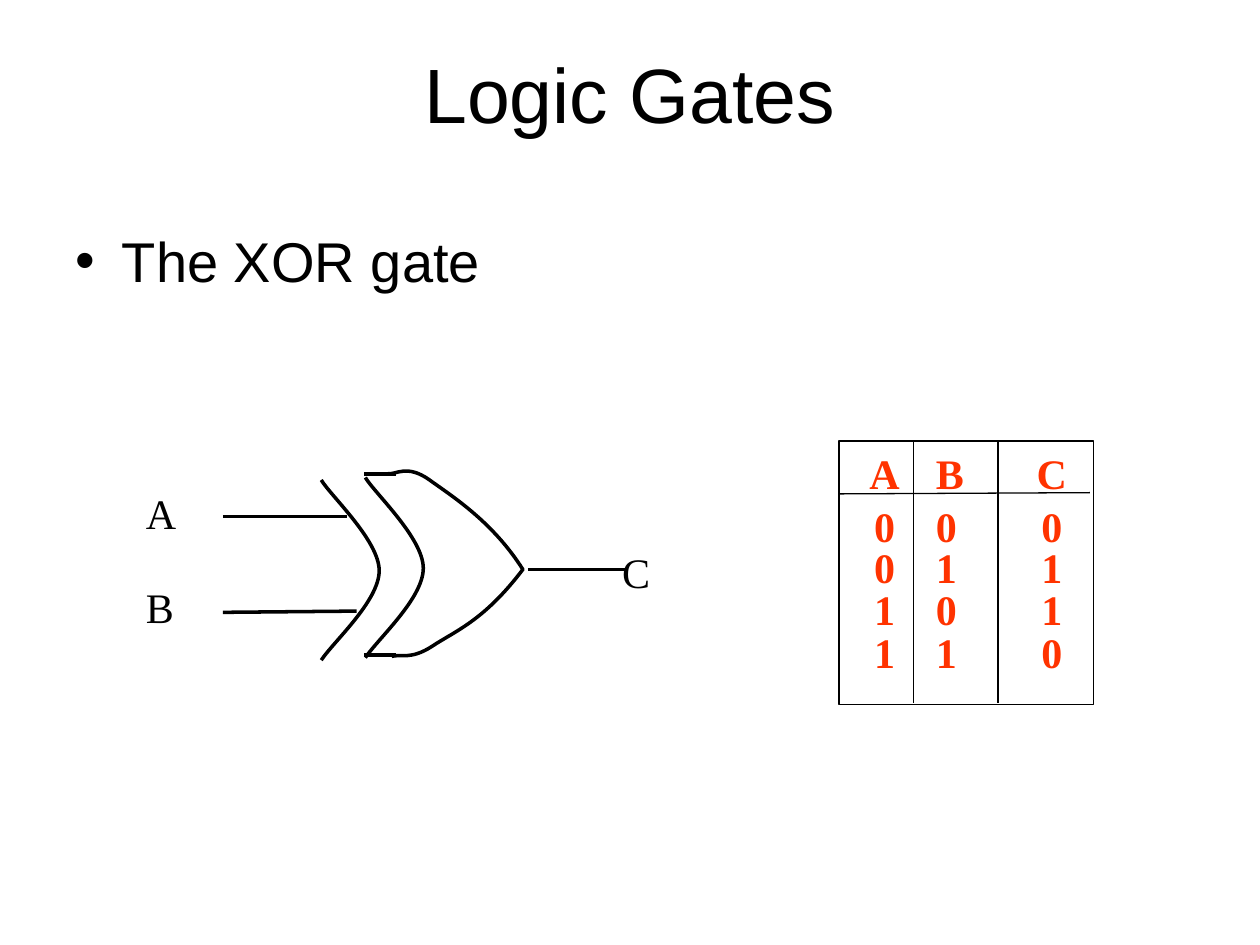
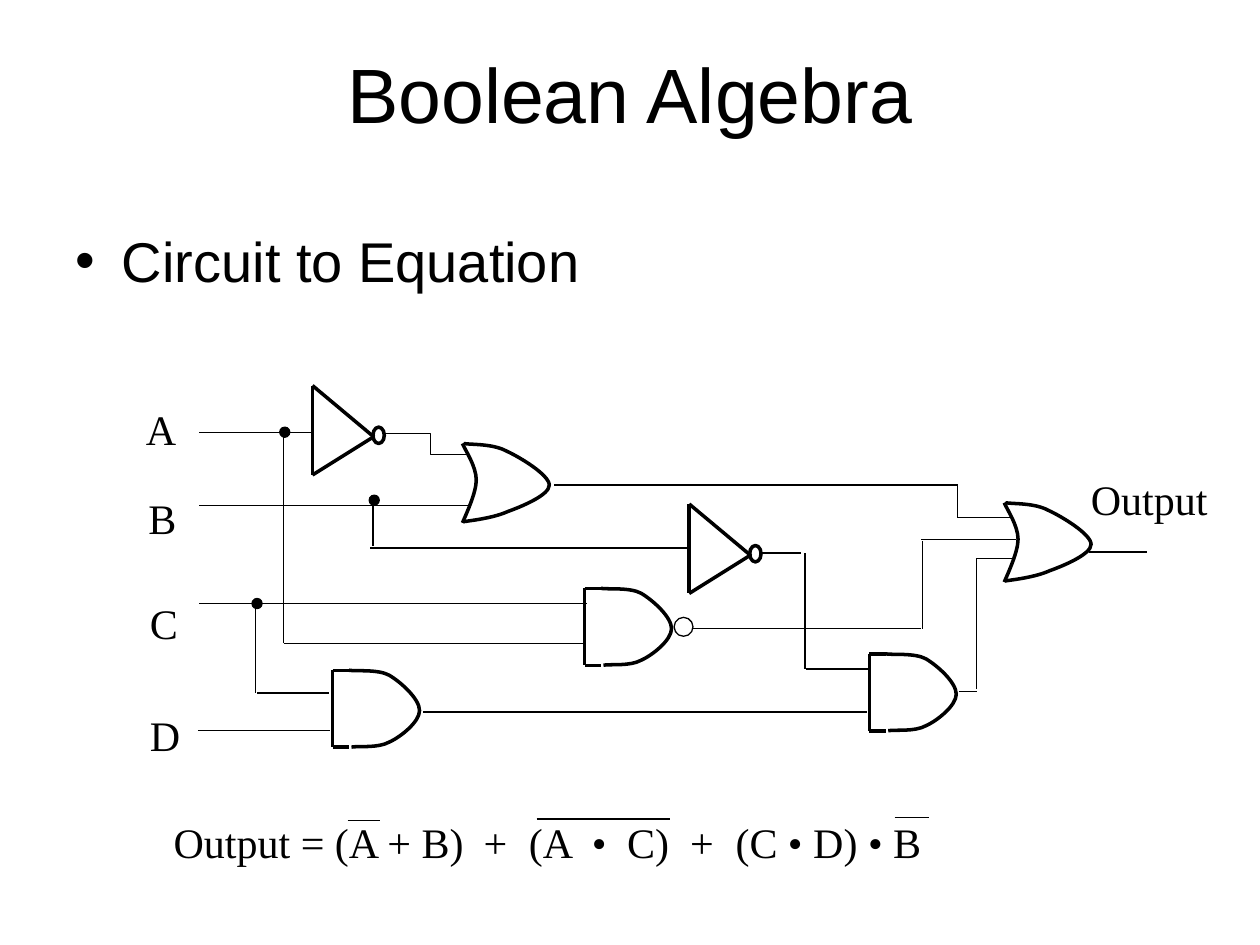
from typing import Any, NamedTuple

from pptx import Presentation
from pptx.dml.color import RGBColor
from pptx.enum.shapes import MSO_CONNECTOR, MSO_SHAPE
from pptx.enum.text import PP_ALIGN
from pptx.oxml.ns import qn
from pptx.util import Inches, Pt
from lxml.etree import SubElement

COLORS = {"ink": "000000", "truth": "FF3300"}
SANS, SERIF = "Arial", "Times New Roman"
THIN, THICK = 0.75, 2.0

Point = tuple[float, float]


class Wire(NamedTuple):
    x1: float
    y1: float
    x2: float
    y2: float


class Label(NamedTuple):
    text: str
    x: float
    y: float
    w: float


class Tab(NamedTuple):
    x: float
    align: str = "l"


class Oval(NamedTuple):
    x: float
    y: float
    w: float
    h: float


XOR_BACK = [(0, 0), (0.07, 0.12), (0.46, 0.48), (0.46, 0.72),
            (0.46, 0.96), (0.1, 1.28), (0, 1.43)]
XOR_BODY = [(3.08, 3.76), (3.14, 3.77), (3.23, 3.68), (3.41, 3.81),
            (3.59, 3.94), (3.91, 4.14), (4.15, 4.52),
            (3.84, 4.93), (3.61, 5.01), (3.43, 5.13),
            (3.26, 5.24), (3.18, 5.19), (3.11, 5.21)]
OR_BACK = [(0, 0), (0.02, 0.05), (0.11, 0.18), (0.11, 0.29),
           (0.11, 0.39), (0.03, 0.56), (0, 0.63)]
OR_BODY = [(0.01, 0), (0.07, 0.01), (0.24, 0), (0.35, 0.06),
           (0.46, 0.11), (0.69, 0.25), (0.69, 0.33),
           (0.69, 0.41), (0.47, 0.5), (0.36, 0.54),
           (0.25, 0.59), (0.08, 0.61), (0.01, 0.62)]
AND_BODY = [(0.13, 0), (0.18, 0.01), (0.36, -0.01), (0.45, 0.04),
            (0.55, 0.1), (0.69, 0.23), (0.69, 0.32),
            (0.69, 0.41), (0.54, 0.53), (0.45, 0.57),
            (0.36, 0.62), (0.21, 0.6), (0.15, 0.61)]
AND_SIDES = [Wire(0, 0, 0, 0.61), Wire(0, 0, 0.13, 0), Wire(0, 0.61, 0.13, 0.61)]
NOT_SIDES = [Wire(0, 0.71, 0.48, 0.41), Wire(0, 0, 0, 0.71), Wire(0, 0, 0.49, 0.41)]
NOT_BUBBLE = Oval(0.48, 0.33, 0.09, 0.13)

XOR_LABELS = [Label("A", 1.06, 3.82, 1.42), Label("B", 1.06, 4.57, 1.42),
              Label("C", 4.84, 4.29, 1)]
XOR_WIRES = [Wire(2.89, 3.76, 3.14, 3.76), Wire(1.77, 4.1, 2.75, 4.1),
             Wire(4.19, 4.52, 4.97, 4.52), Wire(2.89, 5.2, 3.14, 5.2),
             Wire(1.77, 4.86, 2.83, 4.85)]
TRUTH_ROWS = {3.5: "ABC", 3.92: "000", 4.25: "011", 4.58: "101", 4.92: "110"}
TRUTH_RULES = [Wire(7.25, 3.5, 7.25, 5.58), Wire(7.92, 3.5, 7.92, 5.58),
               Wire(6.66, 3.92, 8.65, 3.91)]

CIRCUIT_LABELS = [Label("A", 1.06, 3.15, 0.62), Label("B", 1.08, 3.86, 0.62),
                  Label("C", 1.09, 4.69, 0.62), Label("D", 1.09, 5.58, 0.62),
                  Label("Output", 8.56, 3.71, 1.44)]
CIRCUIT_WIRES = [
    Wire(1.58, 3.43, 2.48, 3.43), Wire(1.58, 4.01, 3.72, 4.01),
    Wire(1.58, 4.79, 4.66, 4.79), Wire(1.57, 5.8, 2.62, 5.8),
    Wire(2.25, 3.43, 2.25, 5.1), Wire(2.25, 5.11, 4.64, 5.11),
    Wire(2.03, 4.79, 2.03, 5.5), Wire(2.04, 5.5, 2.61, 5.5),
    Wire(2.96, 4.01, 2.96, 4.33), Wire(2.94, 4.35, 5.48, 4.35),
    Wire(3.36, 5.65, 6.88, 5.65), Wire(6.04, 4.39, 6.36, 4.39),
    Wire(6.39, 4.39, 6.39, 5.31), Wire(6.4, 5.31, 6.89, 5.31),
    Wire(5.49, 4.99, 7.31, 4.99), Wire(7.32, 4.99, 7.32, 4.29),
    Wire(7.31, 4.28, 8.06, 4.28), Wire(4.4, 3.85, 7.6, 3.85),
    Wire(7.6, 3.85, 7.6, 4.11), Wire(7.6, 4.11, 8.03, 4.11),
    Wire(7.61, 5.49, 7.75, 5.49), Wire(7.75, 5.47, 7.75, 4.43),
    Wire(7.75, 4.43, 8.04, 4.43), Wire(8.64, 4.38, 9.1, 4.38),
]
INVERTER_STEP = [(3.06, 3.44), (3.42, 3.44), (3.42, 3.61), (3.7, 3.61)]
JUNCTIONS = [(2.93, 3.93), (2, 4.75), (2.22, 3.39)]
EQUATION = Label("Output = (A + B)\t+\t(A\t•\tC)\t+\t(C • D) • B", 1.28, 6.43, 8.06)
EQUATION_TABS = [Tab(2.46), Tab(2.82), Tab(3.32), Tab(3.6), Tab(4.1), Tab(4.46)]
NEGATIONS = [Wire(2.76, 6.51, 3.02, 6.51), Wire(4.26, 6.5, 5.32, 6.5),
             Wire(7.1, 6.49, 7.37, 6.49)]


def rgb(name: str) -> RGBColor:
    return RGBColor.from_string(COLORS[name])


def add_run(p: Any, text: str, size: float, font: str,
            color: str = "ink", bold: bool = False) -> None:
    r = p.add_run()
    r.text = text
    r.font.size = Pt(size)
    r.font.name = font
    r.font.bold = bold
    r.font.color.rgb = rgb(color)


def add_box(shapes: Any, x: float, y: float, w: float, h: float) -> Any:
    tf = shapes.add_textbox(Inches(x), Inches(y), Inches(w), Inches(h)).text_frame
    tf.word_wrap = True
    return tf


def add_label(shapes: Any, label: Label, tabs: list[Tab] | None = None,
              color: str = "ink", bold: bool = False,
              align: PP_ALIGN = PP_ALIGN.LEFT) -> None:
    p = add_box(shapes, label.x, label.y, label.w, 0.5).paragraphs[0]
    p.alignment = align
    if tabs:
        stops = SubElement(p._p.get_or_add_pPr(), qn("a:tabLst"))
        for tab in tabs:
            SubElement(stops, qn("a:tab"), pos=str(Inches(tab.x)), algn=tab.align)
    add_run(p, label.text, 24, SERIF, color, bold)


def style_line(sp: Any, width: float) -> None:
    sp.line.color.rgb = rgb("ink")
    sp.line.width = Pt(width)


def add_wires(shapes: Any, wires: list[Wire], width: float,
              x: float = 0, y: float = 0) -> None:
    for wire in wires:
        sp = shapes.add_connector(
            MSO_CONNECTOR.STRAIGHT, Inches(x + wire.x1), Inches(y + wire.y1),
            Inches(x + wire.x2), Inches(y + wire.y2))
        style_line(sp, width)
        SubElement(sp._element.spPr, qn("a:effectLst"))


def add_path(shapes: Any, points: list[Point], width: float,
             x: float = 0, y: float = 0) -> Any:
    start, *rest = [(Inches(x + px), Inches(y + py)) for px, py in points]
    builder = shapes.build_freeform(*start)
    builder.add_line_segments(rest, close=False)
    sp = builder.convert_to_shape()
    sp.shadow.inherit = False
    sp.fill.background()
    style_line(sp, width)
    return sp


def add_curve(shapes: Any, points: list[Point], x: float = 0, y: float = 0) -> None:
    sp = add_path(shapes, points, THICK, x, y)
    outline = next(sp._element.iter(qn("a:path")))
    segments = outline.findall(qn("a:lnTo"))
    for i in range(0, len(segments), 3):
        curve = SubElement(outline, qn("a:cubicBezTo"))
        for segment in segments[i:i + 3]:
            curve.append(segment[0])
            outline.remove(segment)


def add_preset(shapes: Any, kind: MSO_SHAPE, area: Oval, width: float,
               filled: bool = False) -> None:
    sp = shapes.add_shape(kind, Inches(area.x), Inches(area.y),
                          Inches(area.w), Inches(area.h))
    sp.shadow.inherit = False
    if filled:
        sp.fill.solid()
        sp.fill.fore_color.rgb = rgb("ink")
    else:
        sp.fill.background()
    style_line(sp, width)


def add_not_gate(s: Any, x: float, y: float) -> None:
    shapes = s.shapes.add_group_shape().shapes
    add_wires(shapes, NOT_SIDES, THICK, x, y)
    bubble = NOT_BUBBLE._replace(x=x + NOT_BUBBLE.x, y=y + NOT_BUBBLE.y)
    add_preset(shapes, MSO_SHAPE.OVAL, bubble, THICK)


def add_and_gate(s: Any, x: float, y: float) -> None:
    shapes = s.shapes.add_group_shape().shapes
    add_wires(shapes, AND_SIDES, THICK, x, y)
    add_curve(shapes, AND_BODY, x, y)


def add_or_gate(s: Any, x: float, y: float) -> None:
    shapes = s.shapes.add_group_shape().shapes
    add_curve(shapes, OR_BACK, x, y)
    add_curve(shapes, OR_BODY, x, y)


def add_truth_grid(s: Any) -> None:
    add_preset(s.shapes, MSO_SHAPE.RECTANGLE, Oval(6.66, 3.5, 2.02, 2.09), THIN)
    add_wires(s.shapes, TRUTH_RULES, THIN)
    for y, (a, b, c) in TRUTH_ROWS.items():
        add_label(s.shapes, Label(a, 6.73, y, 0.58), None, "truth", True,
                  PP_ALIGN.CENTER)
        add_label(s.shapes, Label(f"{b}\t{c}", 7.33, y, 1.34),
                  [Tab(0.92, "ctr")], "truth", True)


def add_slide(prs: Any, title: str, bullet: str) -> Any:
    s = prs.slides.add_slide(prs.slide_layouts[6])
    tf = add_box(s.shapes, 0.5, 0.3, 9, 1.03)
    tf.margin_top = Inches(0.07)
    p = tf.paragraphs[0]
    p.alignment = PP_ALIGN.CENTER
    add_run(p, title, 44, SANS)
    p = add_box(s.shapes, 0.5, 1.75, 9, 4.95).paragraphs[0]
    pPr = p._p.get_or_add_pPr()
    pPr.set("marL", str(Inches(0.37)))
    pPr.set("indent", str(-Inches(0.37)))
    SubElement(pPr, qn("a:buFont"), typeface=SANS)
    SubElement(pPr, qn("a:buChar"), char="•")
    add_run(p, bullet, 32, SANS)
    return s


def build_xor_slide(prs: Any) -> None:
    s = add_slide(prs, "Logic Gates", "The XOR gate")
    for label in XOR_LABELS:
        add_label(s.shapes, label)
    add_truth_grid(s)
    add_wires(s.shapes, XOR_WIRES, THICK)
    add_curve(s.shapes, XOR_BODY)
    for x, y in [(2.9, 3.79), (2.55, 3.81)]:
        add_curve(s.shapes, XOR_BACK, x, y)


def build_circuit_slide(prs: Any) -> None:
    s = add_slide(prs, "Boolean Algebra", "Circuit to Equation")
    for x, y in [(2.48, 3.06), (5.47, 4)]:
        add_not_gate(s, x, y)
    for x, y in [(3.67, 3.52), (7.97, 3.99)]:
        add_or_gate(s, x, y)
    for x, y in [(2.64, 5.32), (4.64, 4.67), (6.9, 5.19)]:
        add_and_gate(s, x, y)
    add_preset(s.shapes, MSO_SHAPE.OVAL, Oval(5.35, 4.9, 0.15, 0.15), THIN)
    add_wires(s.shapes, CIRCUIT_WIRES, THIN)
    add_path(s.shapes, INVERTER_STEP, THIN)
    for x, y in JUNCTIONS:
        add_preset(s.shapes, MSO_SHAPE.OVAL, Oval(x, y, 0.08, 0.08), THIN, True)
    for label in CIRCUIT_LABELS:
        add_label(s.shapes, label)
    equation = s.shapes.add_group_shape().shapes
    add_label(equation, EQUATION, EQUATION_TABS)
    add_wires(equation, NEGATIONS, THIN)


def main() -> None:
    prs = Presentation()
    prs.slide_width = Inches(10)
    prs.slide_height = Inches(7.5)
    build_xor_slide(prs)
    build_circuit_slide(prs)
    prs.save("out.pptx")


if __name__ == "__main__":
    main()
